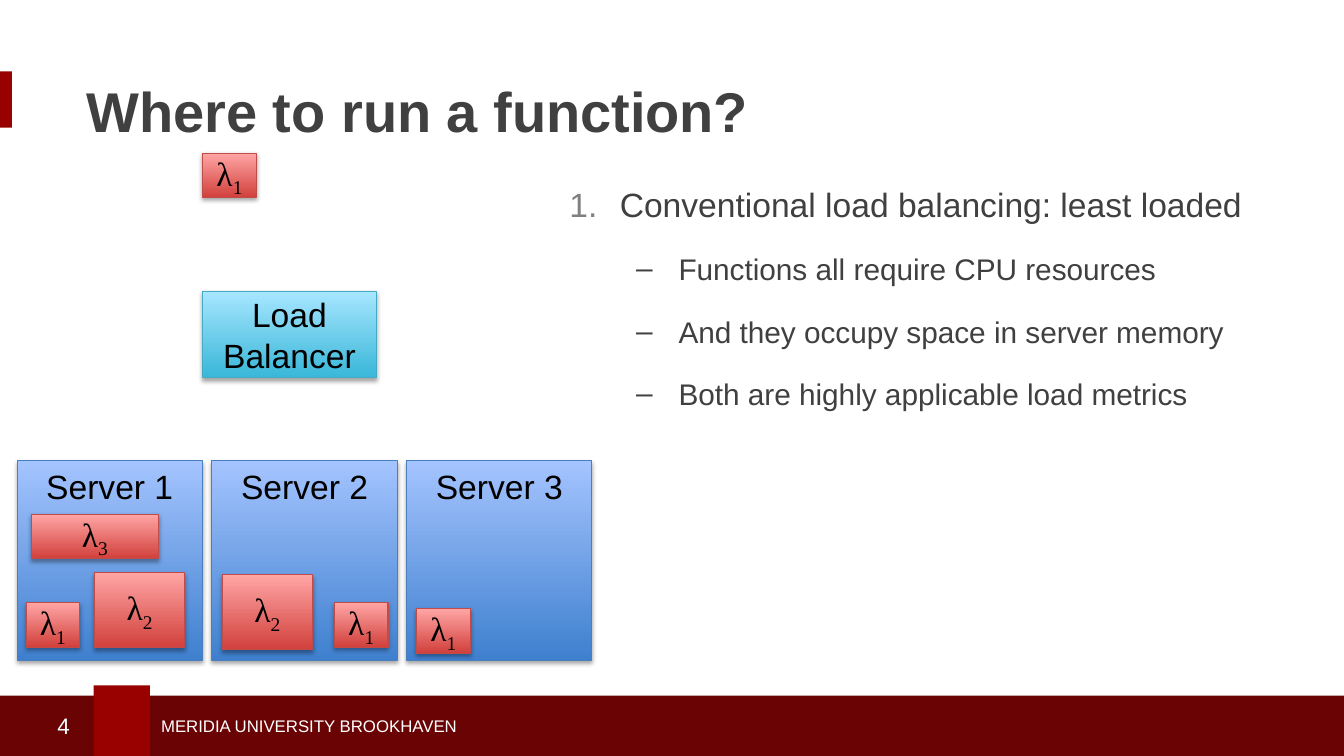
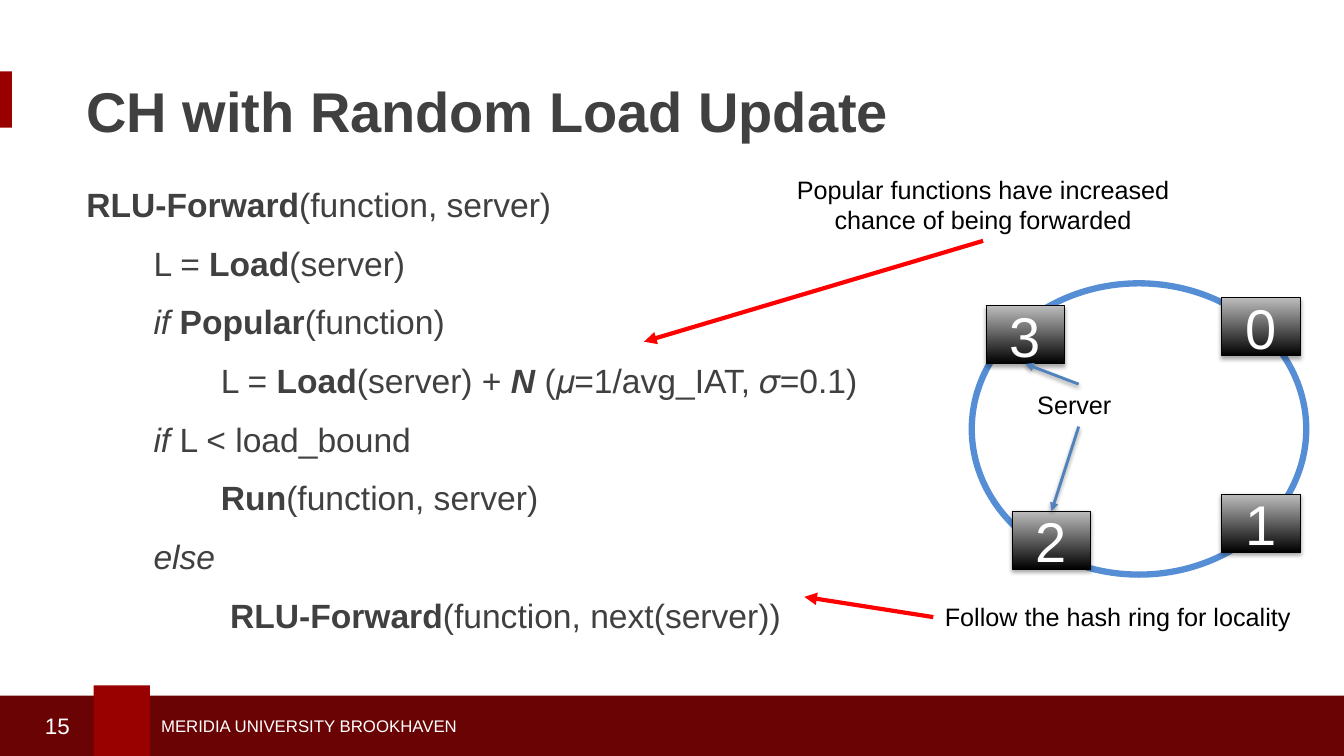
from lxml import etree
from pptx import Presentation
from pptx.dml.color import RGBColor
from pptx.enum.shapes import MSO_CONNECTOR, MSO_SHAPE
from pptx.enum.text import MSO_ANCHOR, PP_ALIGN
from pptx.oxml.ns import qn
from pptx.util import Cm, Pt

RECT, OVAL = MSO_SHAPE.RECTANGLE, MSO_SHAPE.OVAL
LINE = MSO_CONNECTOR.STRAIGHT
TOP, MIDDLE = MSO_ANCHOR.TOP, MSO_ANCHOR.MIDDLE
LEFT, CENTER, RIGHT = PP_ALIGN.LEFT, PP_ALIGN.CENTER, PP_ALIGN.RIGHT
NORTH, WEST, SOUTH = 0, 1, 2

WIDE, HIGH = 33.87, 19.05
SANS, SERIF = "Arial", "Times New Roman"
COLORS = {
    "band": "690304", "crimson": "990000", "white": "FFFFFF",
    "black": "000000", "text": "404041", "number": "808080",
    "red": "FF0000", "ring": "558ED5", "link": "4F81BD",
}
TILES = {
    "balancer": ("39B7D8", "A7E6FF", "46AAC5"),
    "server": ("3F80CE", "A4C4FF", "4B7EBC"),
    "lambda": ("D1403C", "FFA6A5", "BF4C48"),
    "node": ("000000", "BDBDBD", "000000"),
}
LAMBDAS = {1: (1.35, 1.12), 2: (2.26, 1.9), 3: (3.2, 1.12)}
SERVERS = [
    [(1, 0.23, 3.58), (3, 0.36, 1.35), (2, 1.96, 2.82)],
    [(1, 3.09, 3.58), (2, 0.27, 2.87)],
    [(1, 0.25, 3.73)],
]
POINTS = [
    "Functions all require CPU resources",
    "And they occupy space in server memory",
    "Both are highly applicable load metrics",
]
CODE = [
    (0, [("RLU-Forward", "b"), ("(function, server)", "")]),
    (1.69, [("L = ", ""), ("Load", "b"), ("(server)", "")]),
    (1.69, [("if ", "i"), ("Popular", "b"), ("(function)", "")]),
    (3.39, [("L = ", ""), ("Load", "b"), ("(server) + ", ""), ("N ", "bi"),
            ("(𝜇=1/avg_IAT, 𝜎=0.1)", "")]),
    (1.69, [("if", "i"), (" L < load_bound", "")]),
    (3.39, [("Run", "b"), ("(function, server)", "")]),
    (1.69, [("else", "i")]),
    (3.62, [("RLU-Forward", "b"), ("(function, next(server))", "")]),
]


def rgb(name):
    """Return a colour by name, or from its hex string."""
    return RGBColor.from_string(COLORS.get(name, name))


def node(parent, tag, **attrs):
    """Append a DrawingML element with the given attributes."""
    item = etree.SubElement(parent, qn("a:" + tag))
    for key, value in attrs.items():
        item.set(key, str(value))
    return item


def shade(effects, alpha=35000, dist=23000):
    """Fill an effect list with a soft shadow that falls downwards."""
    outer = node(effects, "outerShdw", blurRad=40000, dist=dist,
                 dir=5400000, rotWithShape=0)
    node(node(outer, "srgbClr", val=COLORS["black"]), "alpha", val=alpha)


def write(frame, runs, size, color, align=LEFT, font=SANS, bold=False,
          first=True, after=0, lead=None, indent=None, bullet=None):
    """Write one paragraph of (text, style) runs or plain text."""
    para = frame.paragraphs[0] if first else frame.add_paragraph()
    para.alignment = align
    para.space_after = Pt(after)
    if lead:
        para.line_spacing = lead
    props = para._p.get_or_add_pPr()
    if indent:
        margin, hang = indent
        props.set("marL", str(Cm(margin)))
        props.set("indent", str(Cm(hang)))
    if bullet == "1.":
        node(node(props, "buClr"), "srgbClr", val=COLORS["number"])
        node(props, "buFont", typeface="+mj-lt")
        node(props, "buAutoNum", type="arabicPeriod")
    elif bullet:
        node(props, "buFont", typeface=SANS)
        node(props, "buChar", char=bullet)
    para.font.name, para.font.size = font, Pt(size)
    para.font.color.rgb = rgb(color)
    para.font.bold = bold
    for text, style in [(runs, "")] if isinstance(runs, str) else runs:
        run = para.add_run()
        run.text = text
        if "b" in style:
            run.font.bold = True
        if "i" in style:
            run.font.italic = True
        if "_" in style:
            run._r.get_or_add_rPr().set("baseline", "-25000")


def label(slide, box, runs=None, size=18, color="black", anchor=TOP, **look):
    """Add a wrapping text box, with one paragraph if runs are given."""
    shape = slide.shapes.add_textbox(*map(Cm, box))
    shape.text_frame.word_wrap = True
    shape.text_frame.vertical_anchor = anchor
    if runs:
        write(shape.text_frame, runs, size, color, **look)
    return shape


def block(slide, box, color):
    """Add a flat rectangle without outline."""
    shape = slide.shapes.add_shape(RECT, *map(Cm, box))
    shape.shadow.inherit = False
    shape.fill.solid()
    shape.fill.fore_color.rgb = rgb(color)
    shape.line.fill.background()


def tile(slide, box, kind, runs, size=24, color="black", anchor=MIDDLE,
         font=SANS):
    """Add a shadowed rectangle that fades from light to dark."""
    low, high, edge = TILES[kind]
    shape = slide.shapes.add_shape(RECT, *map(Cm, box))
    shape.fill.gradient()
    shape.fill.gradient_angle = 90
    for stop, tone in zip(shape.fill.gradient_stops, (low, high)):
        stop.color.rgb = rgb(tone)
    shape.line.color.rgb = rgb(edge)
    shape.line.width = Pt(0.75)
    shape.shadow.inherit = False
    shade(shape._element.spPr.find(qn("a:effectLst")))
    shape.text_frame.word_wrap = True
    shape.text_frame.vertical_anchor = anchor
    write(shape.text_frame, runs, size, color, CENTER, font)
    return shape


def arrow(slide, start, side, color, width, tip=(0, 0), goal=None,
          shadow=False):
    """Draw an arrow from a side of a shape to a point or a goal side."""
    x, y = map(Cm, tip)
    line = slide.shapes.add_connector(LINE, x, y, x, y)
    line.begin_connect(start, side)
    if goal:
        line.end_connect(*goal)
    line.line.color.rgb = rgb(color)
    line.line.width = Pt(width)
    node(line.line._get_or_add_ln(), "tailEnd", type="triangle")
    effects = node(line._element.spPr, "effectLst")
    if shadow:
        shade(effects, 38000, 20000)


def base(deck, title, number):
    """Add a slide with its title, accent, footer and number."""
    slide = deck.slides.add_slide(deck.slide_layouts[6])
    block(slide, (0, 17.53, WIDE, HIGH - 17.53), "band")
    block(slide, (2.36, 17.27, 1.42, HIGH - 17.27), "crimson")
    block(slide, (0, 1.8, 0.3, 1.42), "crimson")
    label(slide, (3.81, 17.91, 13.39, 0.76), "MERIDIA UNIVERSITY BROOKHAVEN",
          12, "white", MIDDLE)
    label(slide, (1.93, 1.47, 29.64, 2.59), title, 40, "text", MIDDLE,
          bold=True)
    label(slide, (0.05, 17.78, 1.96, 1.02), str(number), 16, "white", MIDDLE,
          align=RIGHT)
    return slide


def task(slide, kind, x, y):
    """Add a function tile, sized by its kind."""
    tile(slide, (x, y, *LAMBDAS[kind]), "lambda",
         [("λ", ""), (str(kind), "_")], font=SERIF)


def server(slide, box, name, tasks):
    """Add a server and the functions that it holds."""
    tile(slide, box, "server", name, anchor=TOP)
    for kind, x, y in tasks:
        task(slide, kind, box[0] + x, box[1] + y)


def points(slide, box):
    """Add the numbered point and its dashed details."""
    frame = label(slide, box).text_frame
    write(frame, "Conventional load balancing: least loaded", 24, "text",
          after=18, lead=1.04, indent=(1.27, -1.27), bullet="1.")
    for text in POINTS:
        write(frame, text, 21.3, "text", first=False, after=18, lead=1.04,
              indent=(2.75, -1.07), bullet="–")


def code(slide, box):
    """Add the indented pseudocode."""
    frame = label(slide, box).text_frame
    for row, (margin, runs) in enumerate(CODE):
        write(frame, runs, 24, "text", first=row == 0, after=12, lead=1.04,
              indent=(margin, 0))


def ring(slide, box):
    """Add the hash ring with its four servers and their label."""
    left, top = box[:2]
    oval = slide.shapes.add_shape(OVAL, *map(Cm, box))
    oval.shadow.inherit = False
    oval.fill.background()
    oval.line.color.rgb = rgb("ring")
    oval.line.width = Pt(4.5)
    spots = [(6.3, 0.36), (6.3, 5.31), (1.02, 5.74), (0.36, 0.56)]
    nodes = [tile(slide, (left + x, top + y, 1.98, 1.47), "node", str(i),
                  40, "white") for i, (x, y) in enumerate(spots)]
    name = label(slide, (left + 1.4, top + 2.54, 2.59, 1.07), "Server")
    for side, goal in ((NORTH, (nodes[3], SOUTH)), (SOUTH, (nodes[2], NORTH))):
        arrow(slide, name, side, "link", 2, goal=goal, shadow=True)


def balance(deck):
    """Build the slide on load balancing."""
    slide = base(deck, "Where to run a function?", 4)
    points(slide, (14.1, 4.47, 17.55, 11.99))
    task(slide, 1, 5.11, 3.86)
    tile(slide, (5.11, 7.34, 4.37, 2.18), "balancer", "Load Balancer")
    for i, tasks in enumerate(SERVERS):
        server(slide, (0.43 + 4.91 * i, 11.61, 4.67, 5.03),
               f"Server {i + 1}", tasks)


def update(deck):
    """Build the slide on random load updates."""
    slide = base(deck, "CH with Random Load Update", 15)
    code(slide, (1.93, 4.47, 20.19, 11.99))
    notes = [
        ((19.1, 4.27, 11.35, 1.8), SOUTH, (16.23, 8.61),
         "Popular functions have increased chance of being forwarded"),
        ((23.52, 15.04, 9.3, 1.02), WEST, (20.27, 15.04),
         "Follow the hash ring for locality"),
    ]
    for box, side, tip, text in notes:
        note = label(slide, box, text, align=CENTER)
        arrow(slide, note, side, "red", 3, tip)
    ring(slide, (24.49, 7.14, 8.43, 7.34))


def main():
    """Build and save the deck."""
    deck = Presentation()
    deck.slide_width, deck.slide_height = Cm(WIDE), Cm(HIGH)
    balance(deck)
    update(deck)
    deck.save("out.pptx")


if __name__ == "__main__":
    main()
